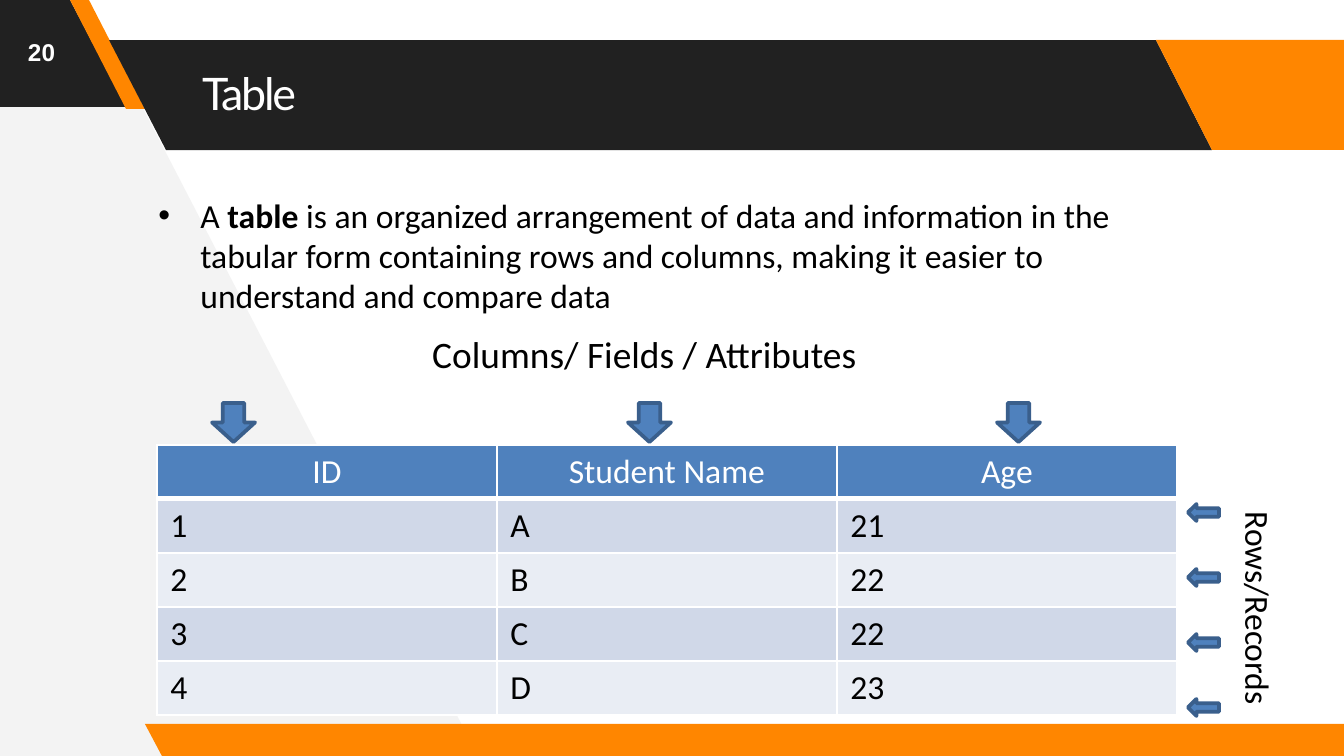
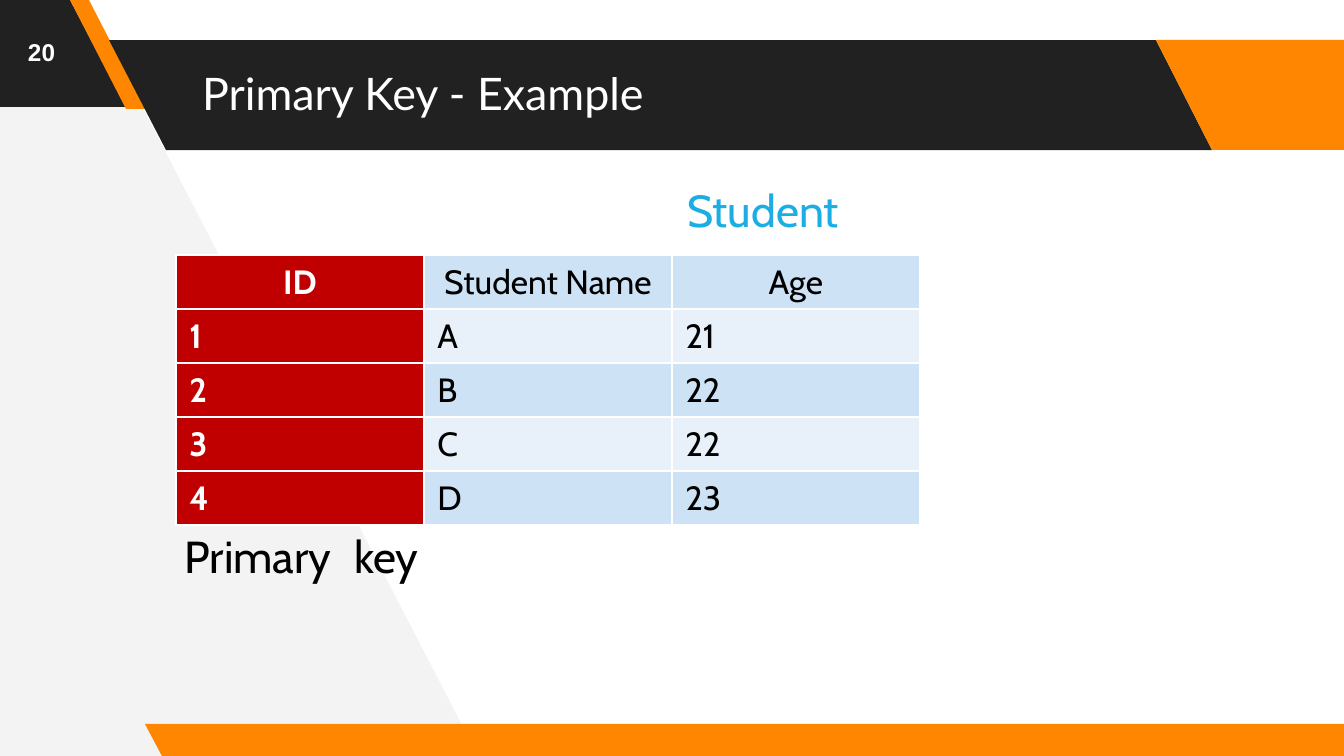
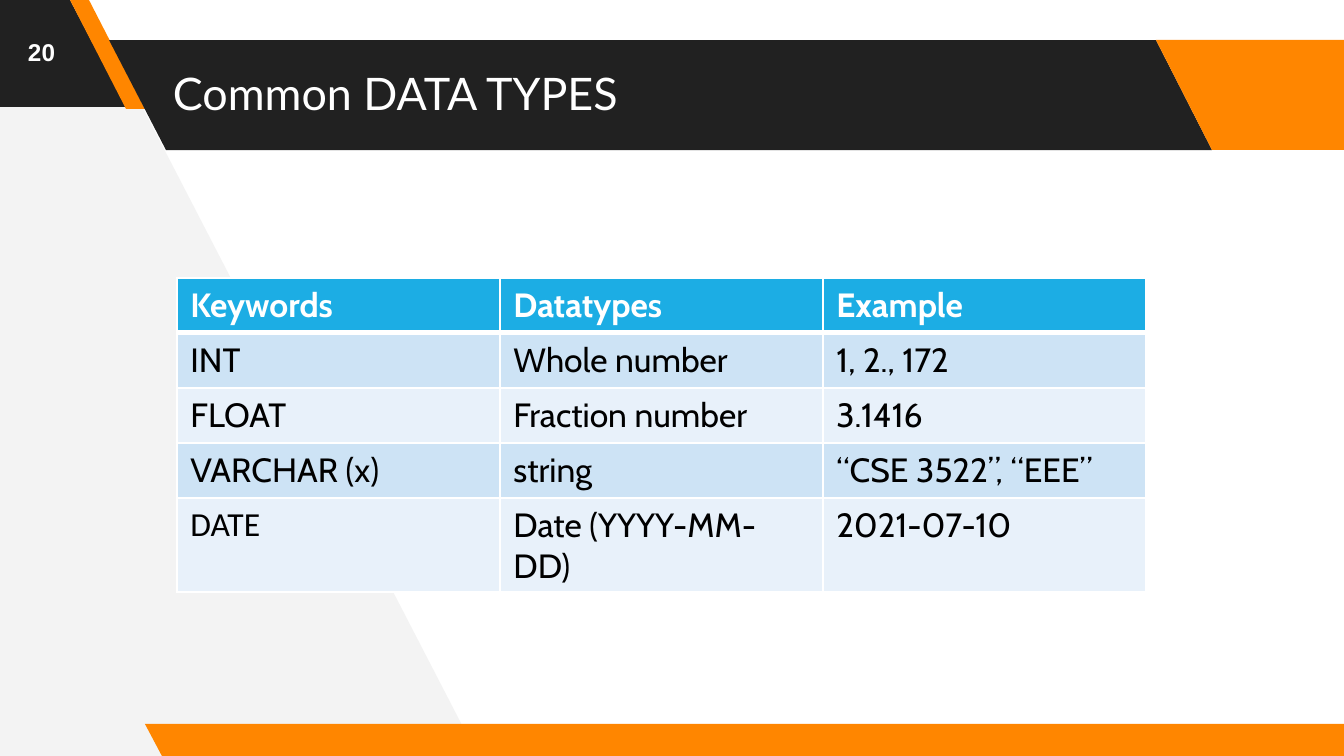
from lxml import etree
from pptx import Presentation
from pptx import util as u
from pptx.dml.color import RGBColor
from pptx.enum import shapes, text
from pptx.oxml.ns import qn

SCALE = 914400 / 134.4
WIDTH, HEIGHT = 1344, 756
BLACK, WHITE, GREY, DARK, ORANGE = "000000", "FFFFFF", "F3F3F3", "212121", "FF8600"
BLUE, BLUE_EDGE, CYAN, RED = "4F81BD", "3A5F8C", "1CADE4", "C00000"
BLUE_BANDS = ("E9EDF4", "D0D8E8")
CYAN_BANDS = ("CDE3F5", "E8F1FA")
BANDS = (
    (GREY, [[(87, 0), (0, 0), (0, 756), (478, 756)]]),
    (DARK, [[(70, 0), (0, 0), (0, 107), (126, 107)]]),
    (ORANGE, [[(89, 0), (70, 0), (126, 109), (145, 109)]]),
    (DARK, [[(1156, 40), (109, 40), (166, 150), (1212, 150)]]),
    (ORANGE, [[(1344, 724), (145, 724), (162, 756), (1344, 756)],
              [(1344, 40), (1156, 40), (1212, 150), (1344, 150)]]),
)


def px(length):
    return u.Emu(round(length * SCALE))


def color(value):
    return RGBColor.from_string(value)


class Deck:
    """Holds the shared style and the current slide, and draws each kind of element."""

    def __init__(self):
        self.presentation = Presentation()
        self.presentation.slide_width = px(WIDTH)
        self.presentation.slide_height = px(HEIGHT)
        self.slide = None

    def start(self, title, layout="Title Only", left=202, width=633, **style):
        layouts = self.presentation.slide_layouts
        self.slide = self.presentation.slides.add_slide(layouts.get_by_name(layout))
        if len(self.presentation.slides) == 1:
            self.draw_bands()
        shape = self.slide.shapes.title
        self.place(shape, (left, 66, width, 55))
        self.set_text(shape, [(title, {})], inset=0,
                      **{"name": "Lato", "size": 24, "color": WHITE, **style})
        self.label("20", (28, 37, 31, 32), inset=0, name="Arial", size=13,
                   bold=True, color=WHITE, spacing=0.2)

    def draw_bands(self):
        master = self.presentation.slide_master.shapes.element
        for fill, outlines in BANDS:
            builder = self.slide.shapes.build_freeform(*outlines[0][0], scale=SCALE)
            for number, points in enumerate(outlines):
                if number:
                    builder.move_to(*points[0])
                builder.add_line_segments(points[1:], close=True)
            shape = builder.convert_to_shape()
            self.paint(shape, fill)
            master.append(shape.element)

    def place(self, shape, box):
        for name, length in zip(("left", "top", "width", "height"), box):
            setattr(shape, name, px(length))

    def paint(self, shape, fill, edge=None):
        shape.shadow.inherit = False
        shape.fill.solid()
        shape.fill.fore_color.rgb = color(fill)
        if edge:
            shape.line.color.rgb = color(edge)
            shape.line.width = u.Pt(2)
        else:
            shape.line.fill.background()

    def set_text(self, shape, runs, inset=None, align=text.PP_ALIGN.LEFT, **style):
        frame = shape.text_frame
        settings = {"word_wrap": True, "vertical_anchor": text.MSO_ANCHOR.TOP,
                    "auto_size": text.MSO_AUTO_SIZE.SHAPE_TO_FIT_TEXT}
        if inset is not None:
            for side in ("left", "top", "right", "bottom"):
                settings["margin_" + side] = px(inset)
        for name, value in settings.items():
            setattr(frame, name, value)
        paragraph = frame.paragraphs[0]
        paragraph.space_before = u.Pt(0)
        self.add_runs(paragraph, runs, align, **style)

    def add_runs(self, paragraph, runs, align, **style):
        paragraph.alignment = align
        for words, changes in runs:
            run = paragraph.add_run()
            run.text = words
            values = {"bold": False, **style, **changes}
            run.font.color.rgb = color(values.pop("color"))
            spacing = values.pop("spacing", 0)
            values["size"] = u.Pt(values["size"])
            for name, value in values.items():
                setattr(run.font, name, value)
            if spacing:
                run._r.get_or_add_rPr().set("spc", str(round(spacing * 100)))

    def label(self, words, box, rotation=0, **style):
        shape = self.slide.shapes.add_textbox(*map(px, box))
        shape.rotation = rotation
        runs = [(words, {})] if isinstance(words, str) else words
        self.set_text(shape, runs, **{"color": BLACK, **style})

    def bullet(self, runs, box, indent, **style):
        shape = self.slide.placeholders[1]
        self.place(shape, box)
        properties = shape.text_frame.paragraphs[0]._p.get_or_add_pPr()
        properties.set("marL", str(px(indent)))
        properties.set("indent", str(-px(indent)))
        etree.SubElement(properties, qn("a:buChar")).set("char", "•")
        self.set_text(shape, runs, **style)

    def arrow(self, kind, box):
        shape = self.slide.shapes.add_shape(kind, *map(px, box))
        self.paint(shape, BLUE, BLUE_EDGE)

    def border(self, cell, top, bottom):
        properties = cell._tc.get_or_add_tcPr()
        for side, points in (("L", 1), ("R", 1), ("T", top), ("B", bottom)):
            line = etree.SubElement(properties, qn("a:ln" + side))
            line.set("w", str(u.Pt(points)))
            fill = etree.SubElement(line, qn("a:solidFill"))
            etree.SubElement(fill, qn("a:srgbClr")).set("val", WHITE)

    def table(self, rows, corner, column_width, row_height, look, font,
              head_align=text.PP_ALIGN.CENTER, head_rule=1, body_rule=1):
        """Draw rows; look(row, column) gives each cell's fill, text colour and weight."""
        size = (column_width * len(rows[0]), row_height * len(rows))
        table = self.slide.shapes.add_table(
            len(rows), len(rows[0]), *map(px, corner + size)).table
        table.horz_banding = False
        for column in table.columns:
            column.width = px(column_width)
        for row, values in enumerate(rows):
            table.rows[row].height = px(row_height)
            for column, value in enumerate(values):
                cell = table.cell(row, column)
                fill, ink, bold = look(row, column)
                self.border(cell, body_rule if row == 1 else 1, 1 if row else head_rule)
                cell.fill.solid()
                cell.fill.fore_color.rgb = color(fill)
                self.add_runs(cell.text_frame.paragraphs[0], [(value, {})],
                              text.PP_ALIGN.LEFT if row else head_align,
                              name=font, size=18, color=ink, bold=bold)
        return table


STUDENTS = [
    ("ID", "Student Name", "Age"),
    ("1", "A", "21"),
    ("2", "B", "22"),
    ("3", "C", "22"),
    ("4", "D", "23"),
]
DATA_TYPES = [
    ("Keywords", "Datatypes", "Example"),
    ("INT", "Whole number", "1, 2., 172"),
    ("FLOAT", "Fraction number", "3.1416"),
    ("VARCHAR (x)", "string", "“CSE 3522”, “EEE”"),
    ("DATE", "Date (YYYY-MM-DD)", "2021-07-10"),
]


def student_look(row, column):
    return (BLUE_BANDS[row % 2], BLACK, False) if row else (BLUE, WHITE, False)


def key_look(row, column):
    return (CYAN_BANDS[row % 2], BLACK, False) if column else (RED, WHITE, True)


def type_look(row, column):
    return (CYAN_BANDS[(row + 1) % 2], BLACK, False) if row else (CYAN, WHITE, True)


def table_slide(deck):
    deck.start("Table", layout="Title and Content", spacing=-1.2)
    deck.bullet([
        ("A ", {}),
        ("table", {"bold": True}),
        (" is an organized arrangement of data and information in the tabular form "
         "containing rows and columns, making it easier to understand and compare data", {}),
    ], (145, 188, 995, 136), 42, name="Calibri", size=18, color=BLACK)
    deck.table(STUDENTS, (157, 445), 340, 54, student_look, "Calibri", head_rule=3)
    for left in (212, 628, 997):
        deck.arrow(shapes.MSO_SHAPE.DOWN_ARROW, (left, 403, 43, 39))
    deck.label("Columns/ Fields / Attributes", (419, 325, 925, 59), name="Calibri", size=20)
    for row in range(len(STUDENTS) - 1):
        deck.arrow(shapes.MSO_SHAPE.LEFT_ARROW, (1188, 504 + 65 * row, 31, 17))
    deck.label("Rows/Records", (1141, 589, 235, 54), rotation=90, name="Calibri", size=18)


def primary_key_slide(deck):
    deck.start("Primary Key - Example")
    deck.table(STUDENTS, (176, 255), 248, 54, key_look, "Cabin")
    centred = {"name": "Cabin", "size": 24, "align": text.PP_ALIGN.CENTER}
    deck.label([("Primary", {}), (" ", {"size": 54}), ("key", {})],
               (124, 466, 355, 136), **centred)
    deck.label("Student", (649, 176, 228, 67), color=CYAN, **centred)


def data_types_slide(deck):
    deck.start("Common DATA TYPES", left=173, width=996)
    table = deck.table(DATA_TYPES, (177, 278), 323, 55, type_look, "Cabin",
                       head_align=text.PP_ALIGN.LEFT, head_rule=3, body_rule=3)
    table.cell(4, 0).text_frame.paragraphs[0].runs[0].font.name = "Calibri"


def main():
    deck = Deck()
    table_slide(deck)
    primary_key_slide(deck)
    data_types_slide(deck)
    deck.presentation.save("out.pptx")


if __name__ == "__main__":
    main()
